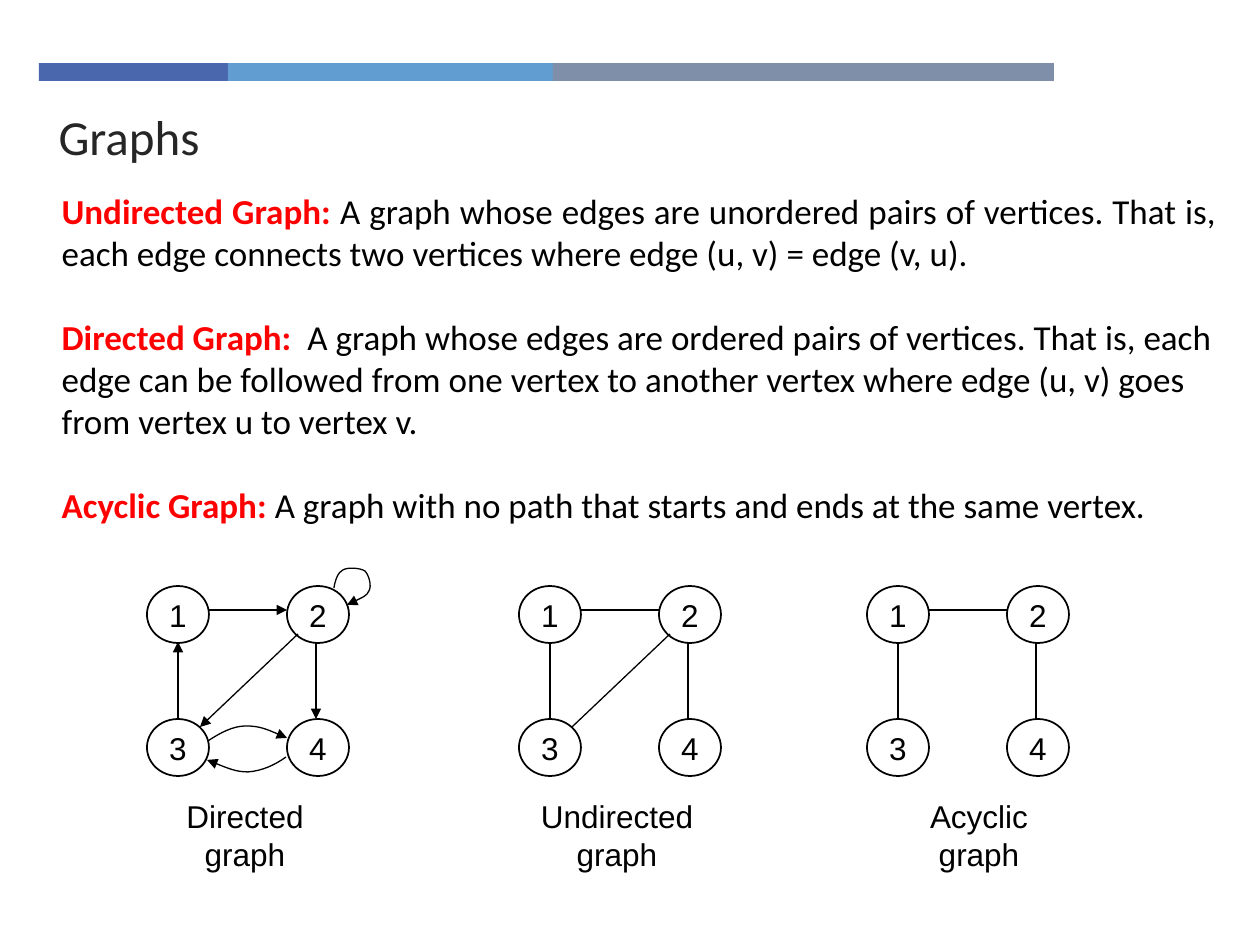
from lxml import etree
from pptx import Presentation
from pptx.dml.color import RGBColor
from pptx.enum.shapes import MSO_CONNECTOR, MSO_SHAPE
from pptx.enum.text import MSO_ANCHOR, MSO_AUTO_SIZE, PP_ALIGN
from pptx.oxml.ns import qn
from pptx.util import Pt

SCALE = 914400 / 126  # EMU per px
RECTANGLE, ELLIPSE = MSO_SHAPE.RECTANGLE, MSO_SHAPE.OVAL
STRAIGHT = MSO_CONNECTOR.STRAIGHT
LEFT, CENTER, JUSTIFY = PP_ALIGN.LEFT, PP_ALIGN.CENTER, PP_ALIGN.JUSTIFY
TOP, MIDDLE = MSO_ANCHOR.TOP, MSO_ANCHOR.MIDDLE
NO_FIT = MSO_AUTO_SIZE.NONE

BLACK, RED, DARK = "000000", "FF0000", "262626"


def emu(*lengths):
    return [round(length * SCALE) for length in lengths]


def color(value):
    return RGBColor.from_string(value)


def write(para, text, font="Arial", size=18, fill=BLACK, bold=False, align=None):
    """Add one formatted run to a paragraph."""
    span = para.add_run()
    span.text = text
    span.font.name, span.font.size, span.font.bold = font, Pt(size), bold
    span.font.color.rgb = color(fill)
    if align is not None:
        para.alignment = align


class GraphSlide:
    """Holds the line style, the page and the canvas being drawn on."""

    node_size = (62, 57)
    node_spots = ((0, 0), (140, 0), (0, 133), (140, 133))

    def __init__(self, deck):
        self.page = deck.slides.add_slide(deck.slide_layouts[1])
        self.canvas = self.page.shapes

    def placeholder(self, index, *bounds):
        holder = self.page.placeholders[index]
        holder.left, holder.top, holder.width, holder.height = emu(*bounds)
        frame = holder.text_frame
        frame.word_wrap, frame.auto_size = True, NO_FIT
        frame.vertical_anchor = TOP
        return frame

    def title(self, text, *bounds):
        para = self.placeholder(0, *bounds).paragraphs[0]
        write(para, text, font="Calibri", size=28, fill=DARK, align=LEFT)

    def definitions(self, entries, *bounds):
        frame = self.placeholder(1, *bounds)
        for index, (term, meaning, align) in enumerate(entries):
            para = frame.add_paragraph() if index else frame.paragraphs[0]
            para.space_before = Pt(24 if index else 0)
            properties = para._p.get_or_add_pPr()
            properties.set("marL", "0")
            properties.set("indent", "0")
            etree.SubElement(properties, qn("a:buNone"))
            write(para, term, font="Calibri", size=20, fill=RED, bold=True, align=align)
            write(para, meaning, font="Calibri", size=20)

    def bar(self, fill, *bounds):
        box = self.canvas.add_shape(RECTANGLE, *emu(*bounds))
        box.shadow.inherit = False
        box.fill.solid()
        box.fill.fore_color.rgb = color(fill)
        box.line.fill.background()

    def caption(self, lines, *bounds):
        frame = self.canvas.add_textbox(*emu(*bounds)).text_frame
        frame.word_wrap = False
        for index, line in enumerate(lines):
            para = frame.add_paragraph() if index else frame.paragraphs[0]
            write(para, line, align=CENTER)

    def stroke(self, shape, width, arrow=False):
        shape.line.color.rgb = color(BLACK)
        shape.line.width = Pt(width)
        if arrow:
            outline = shape._element.spPr.find(qn("a:ln"))
            etree.SubElement(outline, qn("a:tailEnd"), type="triangle")

    def node(self, label, left, top):
        circle = self.canvas.add_shape(ELLIPSE, *emu(left, top, *self.node_size))
        circle.shadow.inherit = False
        circle.fill.background()
        self.stroke(circle, 1)
        frame = circle.text_frame
        frame.word_wrap, frame.vertical_anchor = False, MIDDLE
        write(frame.paragraphs[0], label, align=CENTER)

    def edge(self, points, arrow):
        (x1, y1), (x2, y2) = points
        line = self.canvas.add_connector(STRAIGHT, *emu(x1, y1, x2, y2))
        self.stroke(line, 0.75, arrow)
        etree.SubElement(line._element.spPr, qn("a:effectLst"))

    def curve(self, points):
        """Arrow along Bezier curves: a start, then three points per curve."""
        builder = self.canvas.build_freeform(*points[0], scale=SCALE)
        builder.add_line_segments(points[1:], close=False)
        shape = builder.convert_to_shape()
        shape.shadow.inherit = False
        shape.fill.background()
        self.stroke(shape, 0.75, arrow=True)
        # Join each three line segments into one cubic curve
        segments = list(shape._element.iter(qn("a:lnTo")))
        outline = segments[0].getparent()
        for first in range(0, len(segments), 3):
            cubic = etree.SubElement(outline, qn("a:cubicBezTo"))
            for segment in segments[first:first + 3]:
                cubic.append(segment[0])
                outline.remove(segment)

    def graph(self, left, top, edges, curves=(), arrow=False):
        """Draw four numbered nodes and their edges as one group."""
        def place(points):
            return [(left + x, top + y) for x, y in points]

        self.canvas = self.page.shapes.add_group_shape().shapes
        for number, spot in enumerate(place(self.node_spots), 1):
            self.node(str(number), *spot)
        for points in edges:
            self.edge(place(points), arrow)
        for points in curves:
            self.curve(place(points))
        self.canvas = self.page.shapes


BARS = (("4A66AC", 39, 189), ("629DD1", 228, 325), ("7F8FA9", 553, 501))

DEFINITIONS = (
    ("Undirected Graph: ",
     "A graph whose edges are unordered pairs of vertices. That is, each edge "
     "connects two vertices where edge (u, v) = edge (v, u).", JUSTIFY),
    ("Directed Graph: ",
     " A graph whose edges are ordered pairs of vertices. That is, each edge "
     "can be followed from one vertex to another vertex where edge (u, v) goes "
     "from vertex u to vertex v.", LEFT),
    ("Acyclic Graph: ",
     "A graph with no path that starts and ends at the same vertex.", LEFT),
)

# Edges and curves are measured from the corner of node 1
SIDES = (((62, 24), (140, 24)), ((169, 57), (169, 133)), ((31, 133), (31, 56)))
DIAGONAL = ((151, 48), (53, 141))
CURVES = (
    # 3 to 4
    ((61, 155), (73, 147), (86, 140), (99, 140),
     (113, 140), (126, 146), (140, 152)),
    # 4 to 3
    ((139, 171), (128, 179), (115, 185), (101, 186),
     (89, 186), (75, 180), (60, 174)),
    # Loop at 2
    ((187, 2), (188, -5), (191, -14), (196, -16),
     (201, -19), (213, -18), (218, -15),
     (222, -11), (225, 0), (222, 5),
     (220, 10), (210, 14), (200, 19)),
)
GRAPHS = (
    (147, (*SIDES, DIAGONAL), CURVES, True),
    (519, (*SIDES, DIAGONAL), (), False),
    (867, SIDES, (), False),
)
CAPTIONS = (("Directed", 170, 150), ("Undirected", 524, 186), ("Acyclic", 914, 130))


def main():
    deck = Presentation()
    deck.slide_width, deck.slide_height = emu(1260, 945)
    slide = GraphSlide(deck)

    # Header
    for fill, left, width in BARS:
        slide.bar(fill, left, 63, width, 18)
    slide.title("Graphs", 46, 100, 902, 68)

    # Definitions
    slide.definitions(DEFINITIONS, 49, 183, 1180, 352)

    # Example graphs
    for left, edges, curves, arrow in GRAPHS:
        slide.graph(left, 586, edges, curves, arrow)
    for kind, left, width in CAPTIONS:
        slide.caption((kind, "graph"), left, 791, width, 88)

    deck.save("out.pptx")


if __name__ == "__main__":
    main()
